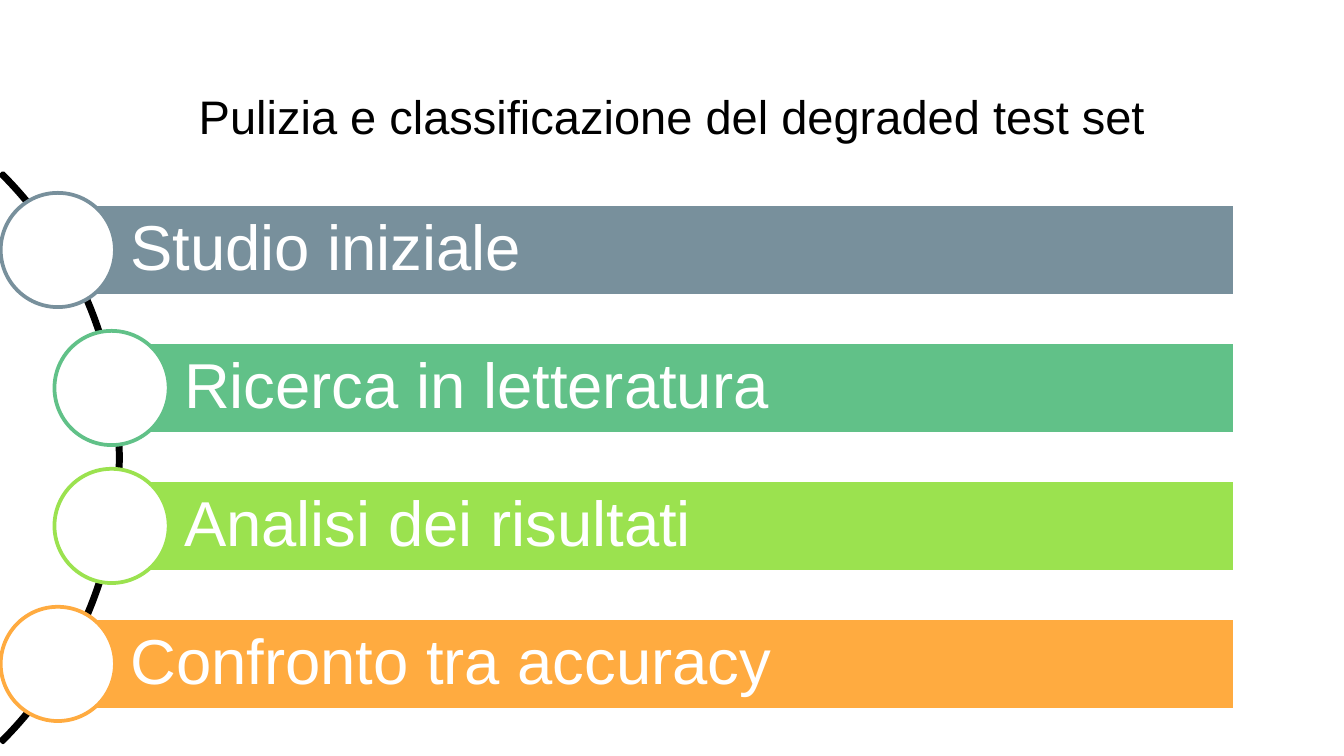
from dataclasses import dataclass

from pptx import Presentation
from pptx.dml.color import RGBColor
from pptx.enum.shapes import MSO_SHAPE as Shape
from pptx.enum.text import MSO_ANCHOR as Anchor, PP_ALIGN as Align
from pptx.util import Inches, Pt

BLACK = RGBColor(0x00, 0x00, 0x00)
WHITE = RGBColor(0xFF, 0xFF, 0xFF)
SLATE = RGBColor(0x78, 0x90, 0x9C)
GREEN = RGBColor(0x61, 0xC1, 0x88)
LIME = RGBColor(0x9B, 0xE2, 0x4F)
ORANGE = RGBColor(0xFF, 0xAB, 0x40)

FONT = "Arial"
FIRST_CENTER, LAST_CENTER = 1.86, 4.94
BAR_RIGHT, BAR_HEIGHT = 9.19, 0.68
CIRCLE = 0.85
OUTER_X, INNER_X = 0.43, 0.83


@dataclass
class Step:
    text: str
    color: RGBColor
    left: float


STEPS = [
    Step("Studio iniziale", SLATE, OUTER_X),
    Step("Ricerca in letteratura", GREEN, INNER_X),
    Step("Analisi dei risultati", LIME, INNER_X),
    Step("Confronto tra accuracy", ORANGE, OUTER_X),
]
PITCH = (LAST_CENTER - FIRST_CENTER) / (len(STEPS) - 1)


def add_outlined(s, kind, x: float, y: float, w: float, h: float,
                 line: RGBColor, fill: RGBColor | None = None):
    sp = s.shapes.add_shape(kind, Inches(x), Inches(y), Inches(w), Inches(h))
    sp.shadow.inherit = False
    if fill is None:
        sp.fill.background()
    else:
        sp.fill.solid()
        sp.fill.fore_color.rgb = fill
    sp.line.color.rgb = line
    sp.line.width = Pt(2)
    return sp


def set_text(sp, text: str, size: float, color: RGBColor, align: Align,
             spacing: float, left: float, inset: float) -> None:
    tf = sp.text_frame
    tf.word_wrap = True
    tf.margin_left = Inches(left)
    tf.margin_top = tf.margin_right = tf.margin_bottom = Inches(inset)
    p = tf.paragraphs[0]
    p.alignment = align
    p.line_spacing = spacing
    r = p.add_run()
    r.text = text
    r.font.name = FONT
    r.font.size = Pt(size)
    r.font.color.rgb = color


def add_step(s, step: Step, center: float) -> None:
    bar = add_outlined(s, Shape.RECTANGLE, step.left, center - BAR_HEIGHT / 2,
                       BAR_RIGHT - step.left, BAR_HEIGHT, WHITE, step.color)
    bar.text_frame.vertical_anchor = Anchor.MIDDLE
    set_text(bar, step.text, 34, WHITE, Align.LEFT, 0.9, 0.54, 0.09)
    # The circle is centred on the left end of the bar
    add_outlined(s, Shape.OVAL, step.left - CIRCLE / 2, center - CIRCLE / 2,
                 CIRCLE, CIRCLE, step.color, WHITE)


def main() -> None:
    prs = Presentation()
    # Widescreen 16:9
    prs.slide_width = Inches(10)
    prs.slide_height = Inches(10 * 9 / 16)
    s = prs.slides.add_slide(prs.slide_layouts[6])

    # Arc behind the steps
    arc = add_outlined(s, Shape.BLOCK_ARC, -5.09, 0.41, 5.99, 5.99, BLACK)
    arc.adjustments[0] = 189
    arc.adjustments[1] = 27
    arc.adjustments[2] = 0.004

    # Steps
    for i, step in enumerate(STEPS):
        add_step(s, step, FIRST_CENTER + i * PITCH)

    # Title
    title = s.shapes.add_textbox(Inches(0.34), Inches(0.49),
                                 Inches(9.32), Inches(0.63))
    set_text(title, "Pulizia e classificazione del degraded test set",
             25.2, BLACK, Align.CENTER, 1.15, 0.1, 0.1)

    prs.save("out.pptx")


if __name__ == "__main__":
    main()
